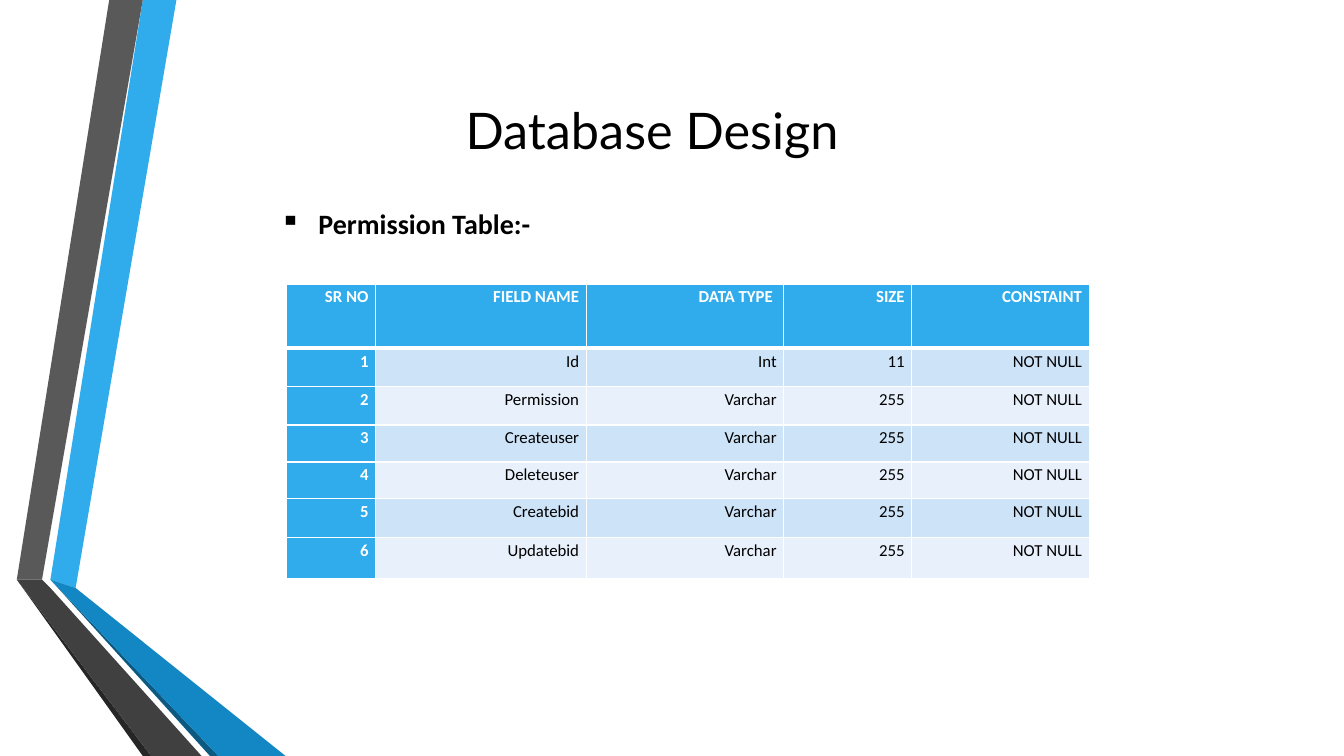
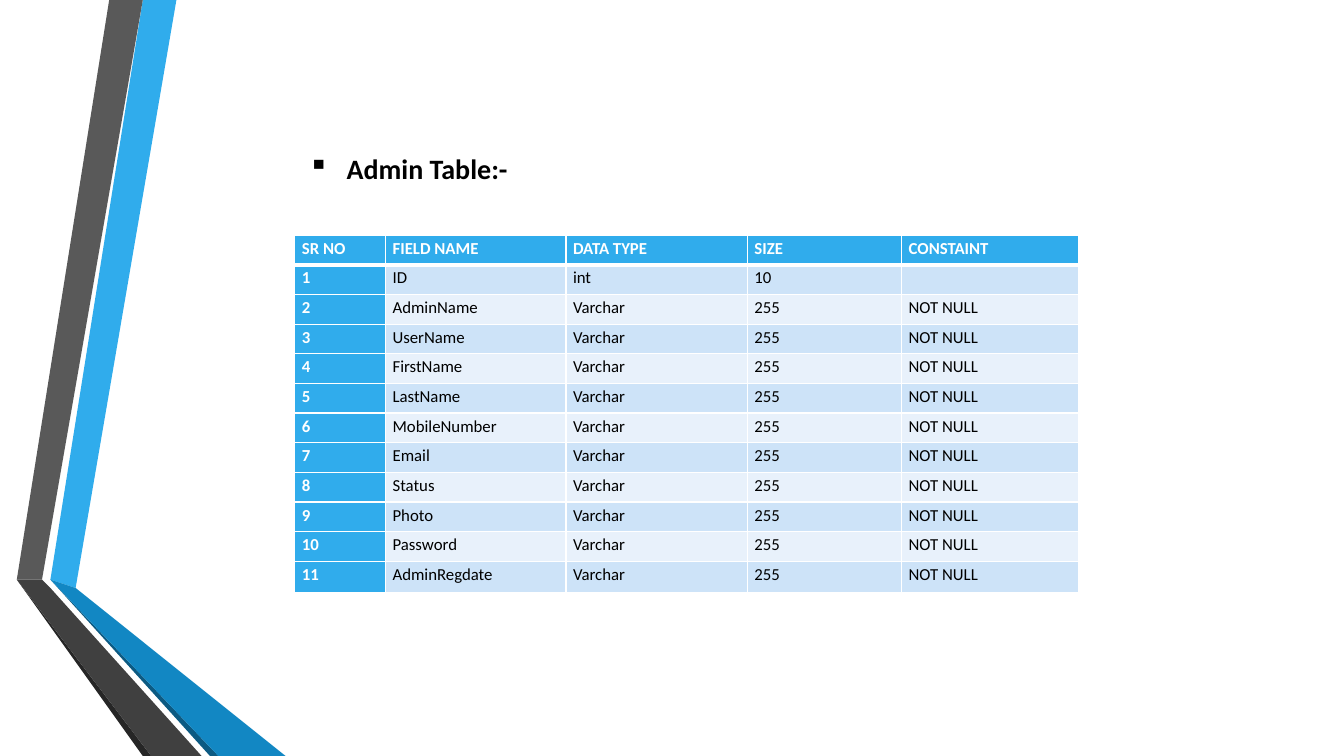
from lxml import etree
from pptx import Presentation, util as u
from pptx.dml.color import RGBColor
from pptx.enum import text as t
from pptx.oxml.ns import qn

WHITE = RGBColor(0xFF, 0xFF, 0xFF)
BLACK = RGBColor(0, 0, 0)
BLUE = RGBColor(0x30, 0xAC, 0xEC)
MID_BLUE = RGBColor(0x12, 0x87, 0xC3)
DEEP_BLUE = RGBColor(0x0C, 0x5A, 0x82)
GRAY = RGBColor(0x59, 0x59, 0x59)
DARK_GRAY = RGBColor(0x40, 0x40, 0x40)
CHARCOAL = RGBColor(0x26, 0x26, 0x26)
BAND_DARK = RGBColor(0xCD, 0xE3, 0xF8)
BAND_LIGHT = RGBColor(0xE8, 0xF1, 0xFB)

TITLE_FONT, BODY_FONT = "Lato", "Calibri"
COLUMNS, ROWS = 160, 90  # square grid cells of 1/12 inch
CELL = u.Inches(7.5) / ROWS

# Ribbon corners in grid columns and rows
RIBBONS = [
    (BLUE, [(6, 69.4), (9.24, 70), (20.76, 0), (17.4, 0)]),
    (GRAY, [(16.68, 0), (13.32, 0), (1.95, 68.76), (5.28, 69.24)]),
    (CHARCOAL, [(1.95, 68.76), (17.4, 90), (18.12, 90)]),
    (DEEP_BLUE, [(6, 69.48), (24.96, 90), (25.68, 90)]),
    (MID_BLUE, [(6, 69.4), (25.68, 90), (33.96, 90), (9.24, 70)]),
    (DARK_GRAY, [(24.24, 90), (5.76, 70), (5.28, 69.24), (1.95, 68.76), (18.12, 90)]),
]
HEADINGS = ["SR NO", "FIELD NAME", "DATA TYPE ", "SIZE", "CONSTAINT"]


def grid(count):
    """Turn a number of grid cells into a length."""
    return u.Emu(round(count * CELL))


def write(paragraph, content, font=BODY_FONT, size=12, color=BLACK, bold=False,
          align=t.PP_ALIGN.LEFT, spacing=None):
    """Put formatted text into a paragraph."""
    paragraph.alignment = align
    if spacing:
        paragraph.line_spacing = spacing
    if not content:
        etree.SubElement(paragraph._p, qn("a:endParaRPr"), sz=str(size * 100))
        return
    run = paragraph.add_run()
    run.text = content
    run.font.name, run.font.size, run.font.bold = font, u.Pt(size), bold
    run.font.color.rgb = color


def border(cell, **widths):
    """Draw white cell borders; widths in points by side letter."""
    properties = cell._tc.get_or_add_tcPr()
    for side in "LRTB":
        line = etree.SubElement(properties, qn("a:ln" + side),
                                w=str(u.Pt(widths.get(side, 1))))
        fill = etree.SubElement(line, qn("a:solidFill"))
        etree.SubElement(fill, qn("a:srgbClr"), val=str(WHITE))


class Deck:
    """Shared style and the slide being built."""

    def __init__(self):
        """Start an empty widescreen presentation."""
        self.presentation = Presentation()
        self.presentation.slide_width = grid(COLUMNS)
        self.presentation.slide_height = grid(ROWS)
        self.slide = None

    def add_slide(self):
        """Add a blank slide with the ribbons on its left."""
        self.slide = self.presentation.slides.add_slide(self.presentation.slide_layouts[6])
        for color, corners in RIBBONS:
            self.ribbon(color, corners)

    def ribbon(self, color, corners):
        """Draw one filled outline."""
        builder = self.slide.shapes.build_freeform(*corners[0], scale=CELL)
        builder.add_line_segments(corners[1:], close=True)
        shape = builder.convert_to_shape()
        shape.shadow.inherit = False
        shape.fill.solid()
        shape.fill.fore_color.rgb = color
        shape.line.fill.background()

    def text_box(self, box, content, anchor=t.MSO_ANCHOR.TOP, **style):
        """Add a wrapping text box and return its paragraph."""
        frame = self.slide.shapes.add_textbox(*map(grid, box)).text_frame
        frame.word_wrap = True
        frame.auto_size = t.MSO_AUTO_SIZE.SHAPE_TO_FIT_TEXT
        frame.vertical_anchor = anchor
        write(frame.paragraphs[0], content, **style)
        return frame.paragraphs[0]

    def title(self, box, content):
        """Add the slide title."""
        self.text_box(box, content, font=TITLE_FONT, size=36)

    def bullet(self, box, content, **style):
        """Add a bold heading with a square bullet."""
        paragraph = self.text_box(box, content, size=20, bold=True, **style)
        properties = paragraph._p.get_or_add_pPr()
        indent = u.Inches(0.38)
        properties.set("marL", str(indent))
        properties.set("indent", str(-indent))
        etree.SubElement(properties, qn("a:buChar"), char="▪")

    def table(self, left, top, widths, heights, fields, align):
        """Add a banded table with a heading row and numbered fields."""
        records = [HEADINGS] + [(str(number), *field)
                                for number, field in enumerate(fields, 1)]
        table = self.slide.shapes.add_table(
            len(records), len(widths), grid(left), grid(top),
            grid(sum(widths)), grid(sum(heights))).table
        for column, width in zip(table.columns, widths):
            column.width = grid(width)
        for index, (row, height, record) in enumerate(zip(table.rows, heights, records)):
            row.height = grid(height)
            for position, (cell, content) in enumerate(zip(row.cells, record)):
                strong = index == 0 or position == 0
                border(cell, B=3 if index == 0 else 1, T=3 if index == 1 else 1)
                cell.fill.solid()
                cell.fill.fore_color.rgb = (
                    BLUE if strong else BAND_DARK if index % 2 else BAND_LIGHT)
                cell.margin_left = cell.margin_right = u.Inches(0.07)
                cell.margin_top = cell.margin_bottom = 0
                write(cell.text_frame.paragraphs[0], content, bold=strong,
                      color=WHITE if strong else BLACK, align=align, spacing=1.15)


def varchar_fields(*names):
    """Describe required text fields of the usual size."""
    return [(name, "Varchar", "255", "NOT NULL") for name in names]


deck = Deck()

deck.add_slide()
deck.title((54.24, 11.16, 58.44, 8.52), "Database Design")
deck.table(
    34.15, 33.8, [10.56, 25.08, 23.52, 15.24, 21.12],
    [7.65, 4.6, 4.55, 4.4, 4.4, 4.55, 4.9],
    [("Id", "Int", "11", "NOT NULL")]
    + varchar_fields("Permission", "Createuser", "Deleteuser", "Createbid", "Updatebid"),
    t.PP_ALIGN.RIGHT)
deck.bullet((32.16, 24, 44.16, 5.28), "Permission Table:-", anchor=t.MSO_ANCHOR.MIDDLE)

deck.add_slide()
deck.table(
    35.1, 28, [10.8, 21.48, 21.6, 18.36, 21.12], [3.53] * 11 + [3.7],
    [("ID", "int", "10", "")]
    + varchar_fields("AdminName", "UserName", "FirstName", "LastName", "MobileNumber",
                     "Email", "Status", "Photo", "Password", "AdminRegdate"),
    t.PP_ALIGN.LEFT)
deck.bullet((35.52, 17.4, 44.52, 8.88), "Admin Table:-")

deck.presentation.save("out.pptx")
